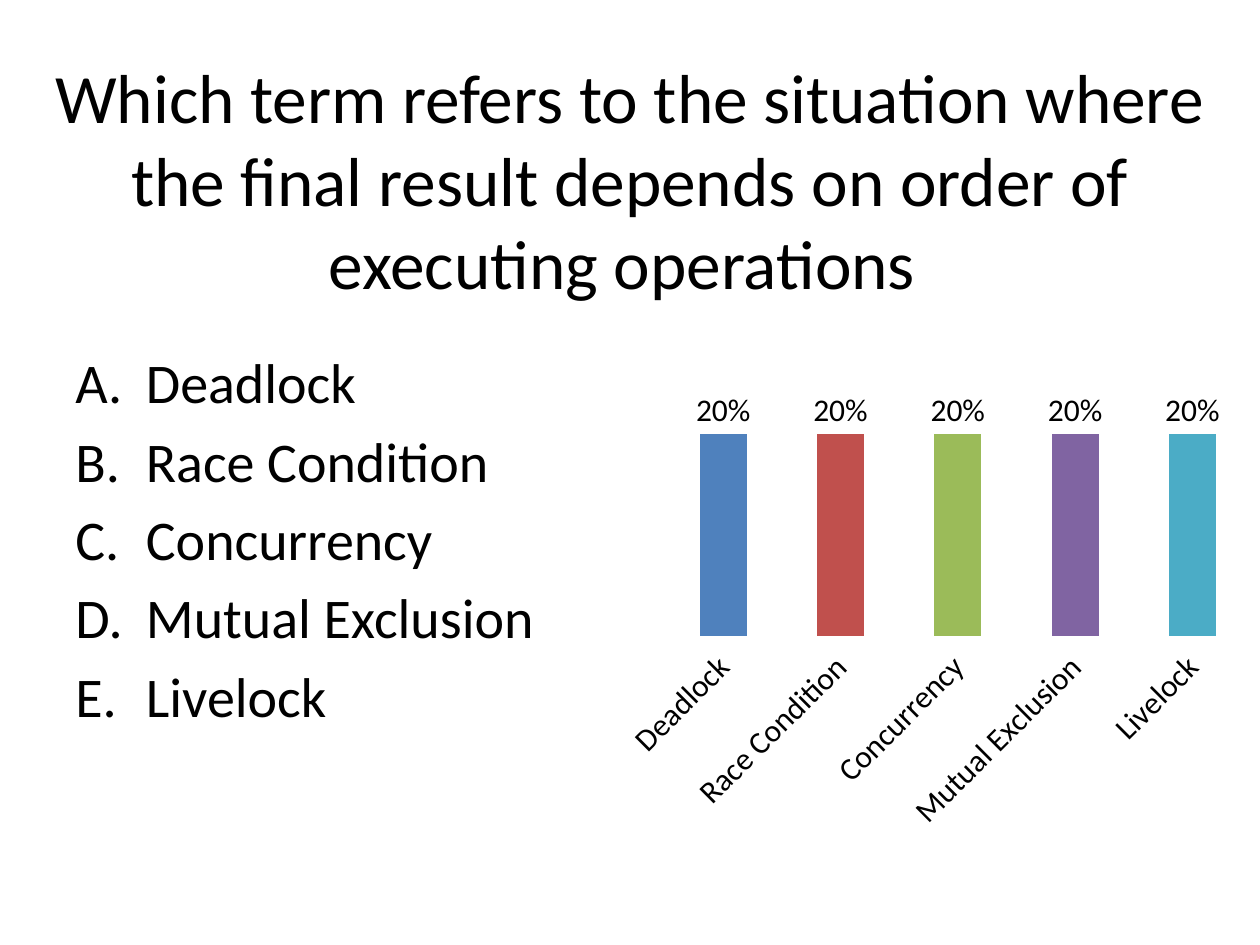
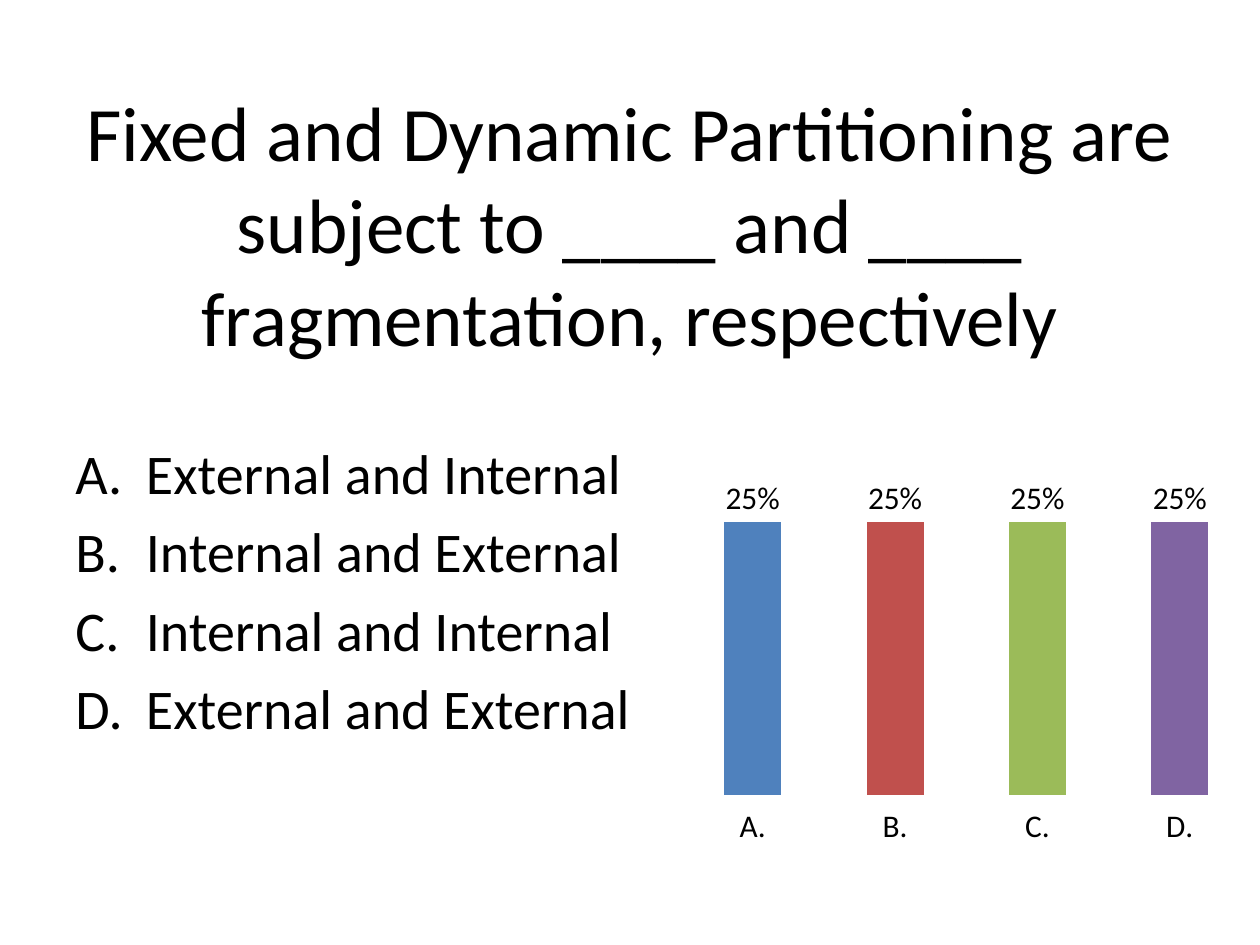
from dataclasses import dataclass
from typing import NamedTuple

from lxml.etree import SubElement
from pptx import Presentation
from pptx.chart.chart import Chart
from pptx.chart.data import CategoryChartData
from pptx.dml.color import RGBColor
from pptx.enum.chart import XL_CHART_TYPE as ChartType
from pptx.enum.chart import XL_LABEL_POSITION as LabelPosition
from pptx.enum.chart import XL_TICK_LABEL_POSITION as TickLabels
from pptx.enum.chart import XL_TICK_MARK as TickMark
from pptx.enum.text import MSO_ANCHOR as Anchor
from pptx.enum.text import MSO_AUTO_SIZE as AutoSize
from pptx.enum.text import PP_ALIGN as Align
from pptx.oxml import parse_xml
from pptx.oxml.ns import nsdecls, qn
from pptx.slide import Slide
from pptx.text.text import TextFrame
from pptx.util import Inches, Length, Pt


@dataclass(frozen=True)
class Theme:
    font: str = "Calibri"
    ink: RGBColor = RGBColor(0, 0, 0)
    bars: tuple[str, ...] = ("4F81BD", "C0504D", "9BBB59", "8064A2", "4BACC6")
    answer_size: float = 32
    chart_size: float = 18
    answer_gap: float = 6.4
    answer_indent: Length = Inches(0.56)


THEME = Theme()

# Grid: 20 columns by 15 rows of half-inch cells
COLUMNS, ROWS, CELL = 20, 15, Inches(0.5)
ANSWERS_LEFT, ANSWERS_BOTTOM = 1, 13.4
CHART_RIGHT, CHART_BOTTOM = 19.86, 14.74


class Area(NamedTuple):
    """Edges of a region, in grid columns and rows."""
    left: float
    top: float
    right: float
    bottom: float

    def box(self) -> tuple[int, int, int, int]:
        cells = (self.left, self.top, self.right - self.left, self.bottom - self.top)
        return tuple(round(n * CELL) for n in cells)


@dataclass(frozen=True)
class Question:
    title: str
    answers: tuple[str, ...]
    title_size: float
    title_top: float
    title_bottom: float
    answers_top: float
    answers_right: float
    chart_left: float
    letter_labels: bool = False

    @property
    def labels(self) -> list[str]:
        if self.letter_labels:
            return [f"{chr(ord('A') + i)}." for i in range(len(self.answers))]
        return list(self.answers)


QUESTIONS = (
    Question(
        "Which term refers to the situation where the final result depends "
        "on order of executing operations ",
        ("Deadlock", "Race Condition", "Concurrency", "Mutual Exclusion", "Livelock"),
        title_size=39.6, title_top=1.08, title_bottom=4.6,
        answers_top=5.42, answers_right=10, chart_left=9.86,
    ),
    Question(
        "Fixed and Dynamic Partitioning are subject to ____ and ____ "
        "fragmentation, respectively",
        ("External and Internal", "Internal and External",
         "Internal and Internal", "External and External"),
        title_size=44, title_top=0.9, title_bottom=6.18,
        answers_top=6.86, answers_right=10.56, chart_left=10.7,
        letter_labels=True,
    ),
)


def write_text(frame: TextFrame, *lines: str, size: float, align: Align = Align.LEFT,
               anchor: Anchor = Anchor.TOP, gap: float = 0, lettered: bool = False) -> None:
    frame.word_wrap = True
    frame.auto_size = AutoSize.NONE
    frame.vertical_anchor = anchor
    for i, line in enumerate(lines):
        paragraph = frame.add_paragraph() if i else frame.paragraphs[0]
        paragraph.alignment = align
        paragraph.space_before = Pt(gap if i else 0)
        if lettered:
            properties = paragraph._p.get_or_add_pPr()
            properties.set("marL", str(THEME.answer_indent))
            properties.set("indent", str(-THEME.answer_indent))
            SubElement(properties, qn("a:buFont"), typeface="+mj-lt")
            SubElement(properties, qn("a:buAutoNum"), type="alphaUcPeriod")
        run = paragraph.add_run()
        run.text = line
        run.font.name, run.font.size = THEME.font, Pt(size)
        run.font.color.rgb = THEME.ink


def place_plot(chart: Chart, **percent: float) -> None:
    """Fix the plot, axis labels included, at percentages of the chart's size."""
    plot_area = chart._chartSpace.find(".//" + qn("c:plotArea"))
    for layout in plot_area.findall(qn("c:layout")):
        plot_area.remove(layout)
    edges = "".join(f'<c:{edge} val="{value / 100:.3f}"/>' for edge, value in percent.items())
    plot_area.insert(0, parse_xml(
        f'<c:layout {nsdecls("c")}><c:manualLayout>'
        '<c:layoutTarget val="outer"/><c:xMode val="edge"/><c:yMode val="edge"/>'
        f'{edges}</c:manualLayout></c:layout>'))


def add_votes(slide: Slide, question: Question) -> None:
    data = CategoryChartData(number_format="0%")
    data.categories = question.labels
    share = 1 / len(question.answers)
    data.add_series("Series 1", [share] * len(question.answers))
    area = Area(question.chart_left, question.answers_top, CHART_RIGHT, CHART_BOTTOM)
    chart = slide.shapes.add_chart(ChartType.COLUMN_CLUSTERED, *area.box(), data).chart
    chart.has_title = chart.has_legend = False
    chart.font.name, chart.font.size = THEME.font, Pt(THEME.chart_size)
    chart.font.color.rgb = THEME.ink
    place_plot(chart, x=0.8, y=7.2, w=99.2, h=76)

    # Axes
    for axis in (chart.category_axis, chart.value_axis):
        axis.has_major_gridlines = False
        axis.major_tick_mark = TickMark.OUTSIDE
        axis.format.line.fill.background()
    chart.value_axis.minimum_scale = 0
    chart.value_axis.tick_label_position = TickLabels.NONE

    # Bars and their percentages
    plot = chart.plots[0]
    plot.gap_width = 150
    plot.vary_by_categories = True
    plot.has_data_labels = True
    percentages = plot.data_labels
    percentages.show_value = True
    percentages.number_format, percentages.number_format_is_linked = "0%", False
    percentages.position = LabelPosition.OUTSIDE_END
    for i, color in enumerate(THEME.bars[:len(question.answers)]):
        fill = plot.series[0].points[i].format.fill
        fill.solid()
        fill.fore_color.rgb = RGBColor.from_string(color)


def add_question(deck: Presentation, question: Question) -> None:
    slide = deck.slides.add_slide(deck.slide_layouts.get_by_name("Title Only"))

    # Title
    title = slide.shapes.title
    title.left, title.top, title.width, title.height = Area(
        0, question.title_top, COLUMNS, question.title_bottom).box()
    write_text(title.text_frame, question.title, size=question.title_size,
               align=Align.CENTER, anchor=Anchor.MIDDLE)

    # Votes chart, then answers in front of it
    add_votes(slide, question)
    answers_area = Area(ANSWERS_LEFT, question.answers_top,
                        question.answers_right, ANSWERS_BOTTOM)
    answers = slide.shapes.add_textbox(*answers_area.box())
    write_text(answers.text_frame, *question.answers, size=THEME.answer_size,
               gap=THEME.answer_gap, lettered=True)


def main() -> None:
    deck = Presentation()
    deck.slide_width, deck.slide_height = COLUMNS * CELL, ROWS * CELL
    for question in QUESTIONS:
        add_question(deck, question)
    deck.save("out.pptx")


if __name__ == "__main__":
    main()
